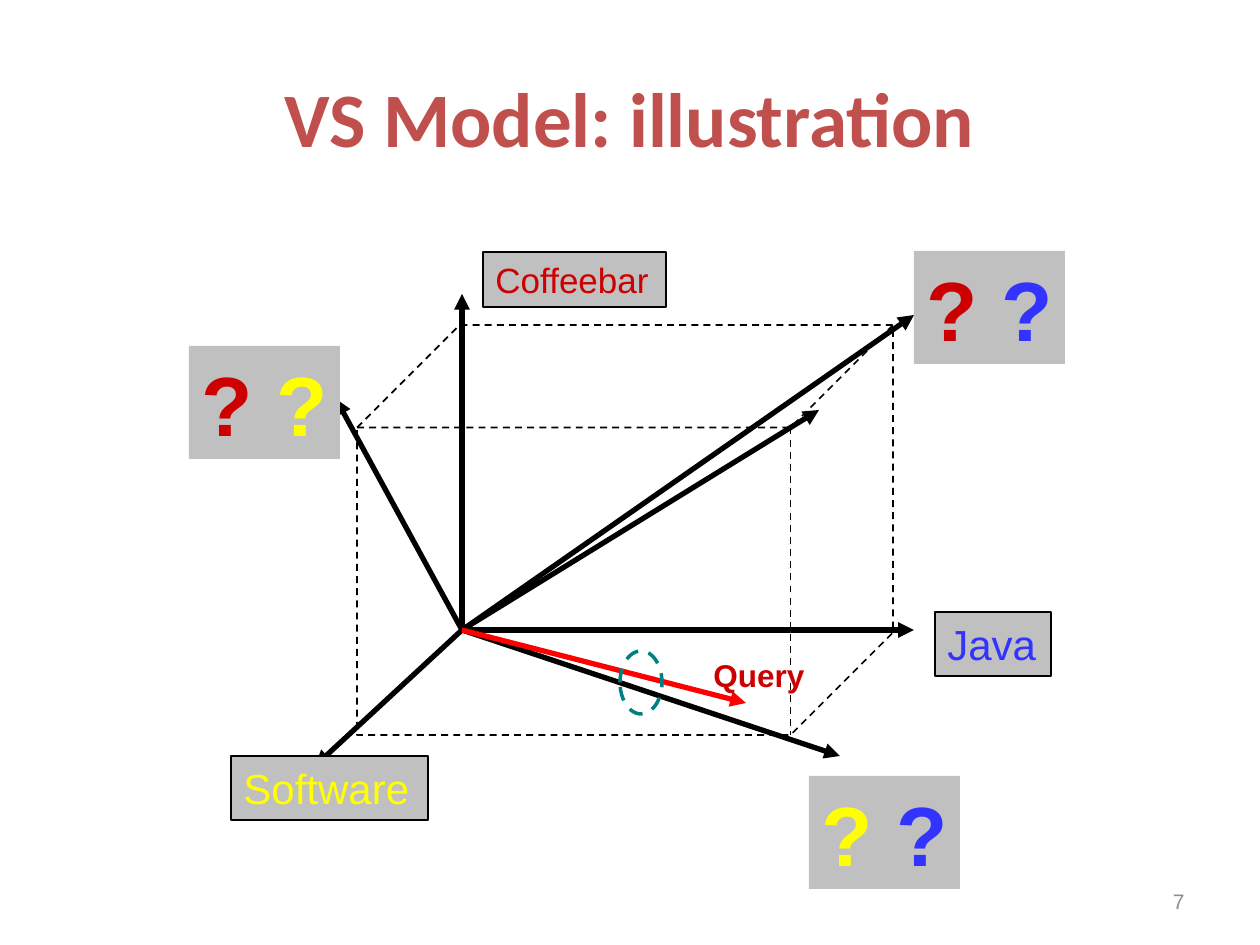
from lxml import etree
from pptx import Presentation
from pptx import util as u
from pptx.dml.color import RGBColor
from pptx.enum import dml, shapes, text
from pptx.oxml.ns import qn

EMU_PER_PX = 914400 / 126
BLACK = RGBColor(0x00, 0x00, 0x00)
GRAY = RGBColor(0xC0, 0xC0, 0xC0)
PAGE_GRAY = RGBColor(0x8C, 0x8C, 0x8C)
BRICK = RGBColor(0xC0, 0x50, 0x4D)
CRIMSON = RGBColor(0xCC, 0x00, 0x00)
RED = RGBColor(0xFF, 0x00, 0x00)
YELLOW = RGBColor(0xFF, 0xFF, 0x00)
BLUE = RGBColor(0x33, 0x33, 0xFF)
TEAL = RGBColor(0x00, 0x80, 0x80)

ORIGIN = (462, 630)


def px(*lengths):
    return [u.Emu(round(length * EMU_PER_PX)) for length in lengths]


def write(shape, spans, size, font="Arial", bold=False, align=text.PP_ALIGN.LEFT,
          anchor=text.MSO_ANCHOR.TOP, wrap=False, grow=True):
    """Fill the shape with one paragraph made of (words, color) spans."""
    frame = shape.text_frame
    frame.word_wrap = wrap
    fit = text.MSO_AUTO_SIZE
    frame.auto_size = fit.SHAPE_TO_FIT_TEXT if grow else fit.NONE
    frame.vertical_anchor = anchor
    para = frame.paragraphs[0]
    para.alignment = align
    for words, color in spans:
        span = para.add_run()
        span.text = words
        span.font.name = font
        span.font.size = u.Pt(size)
        span.font.bold = bold
        span.font.color.rgb = color


class VectorSlide:
    """Holds the current slide and draws its elements in one style."""

    def __init__(self, page):
        self.page = page

    def title(self, words, left, top, width, height):
        box = self.page.shapes.title
        box.left, box.top, box.width, box.height = px(left, top, width, height)
        write(box, [(words, BRICK)], 44, font="Calibri", bold=True, wrap=True, grow=False,
              align=text.PP_ALIGN.CENTER, anchor=text.MSO_ANCHOR.MIDDLE)

    def caption(self, words, color, size, area, **style):
        box = self.page.shapes.add_textbox(*px(*area))
        write(box, [(words, color)], size, **style)

    def shape(self, kind, area, fill=None, line=None, weight=0.75, dashed=False):
        shape = self.page.shapes.add_shape(kind, *px(*area))
        shape.shadow.inherit = False
        if fill is None:
            shape.fill.background()
        else:
            shape.fill.solid()
            shape.fill.fore_color.rgb = fill
        if line is None:
            shape.line.fill.background()
        else:
            shape.line.color.rgb = line
            shape.line.width = u.Pt(weight)
        if dashed:
            shape.line.dash_style = dml.MSO_LINE.DASH
        return shape

    def axis_label(self, words, color, size, area):
        box = self.shape(shapes.MSO_SHAPE.RECTANGLE, area, fill=GRAY, line=BLACK)
        write(box, [(words, color)], size)

    def document(self, left, top, first, second):
        """Draw a gray box with one question mark for each term of a document."""
        box = self.shape(shapes.MSO_SHAPE.RECTANGLE, (left, top, 151, 113), fill=GRAY)
        write(box, [("? ", first), ("?", second)], 48, bold=True,
              align=text.PP_ALIGN.CENTER)

    def vector(self, *tip, color=BLACK):
        """Draw an arrow from the origin to the tip."""
        arrow = self.page.shapes.add_connector(
            shapes.MSO_CONNECTOR.STRAIGHT, *px(*ORIGIN, *tip))
        arrow.line.color.rgb = color
        arrow.line.width = u.Pt(3)
        etree.SubElement(arrow.line._get_or_add_ln(), qn("a:tailEnd"), type="triangle")
        etree.SubElement(arrow._element.spPr, qn("a:effectLst"))


def main():
    deck = Presentation()
    deck.slide_width, deck.slide_height = px(1260, 945)
    slide = VectorSlide(deck.slides.add_slide(deck.slide_layouts[5]))

    slide.title("VS Model: illustration", 63, 38, 1134, 157)
    slide.caption("7", PAGE_GRAY, 12, (903, 876, 294, 50), wrap=True, grow=False,
                  align=text.PP_ALIGN.RIGHT, anchor=text.MSO_ANCHOR.MIDDLE)

    slide.shape(shapes.MSO_SHAPE.CUBE, (357, 325, 536, 410),
                line=BLACK, weight=1, dashed=True)
    for tip in [(315, 766), (914, 630), (462, 294)]:
        slide.vector(*tip)
    slide.axis_label("Java", BLUE, 24, (935, 612, 116, 64))
    slide.axis_label("Software", YELLOW, 24, (231, 756, 197, 64))
    slide.axis_label("Coffeebar", CRIMSON, 20, (483, 252, 183, 55))

    slide.vector(819, 410)
    slide.vector(914, 315)
    slide.document(914, 251, CRIMSON, BLUE)
    slide.vector(840, 756)
    slide.document(809, 776, YELLOW, BLUE)
    slide.vector(336, 399)
    slide.document(189, 346, CRIMSON, YELLOW)

    slide.vector(746, 703, color=RED)
    slide.caption("Query", CRIMSON, 18, (701, 650, 116, 50), bold=True,
                  align=text.PP_ALIGN.CENTER)
    slide.shape(shapes.MSO_SHAPE.OVAL, (620, 651, 42, 63),
                line=TEAL, weight=2, dashed=True)

    deck.save("out.pptx")


if __name__ == "__main__":
    main()
